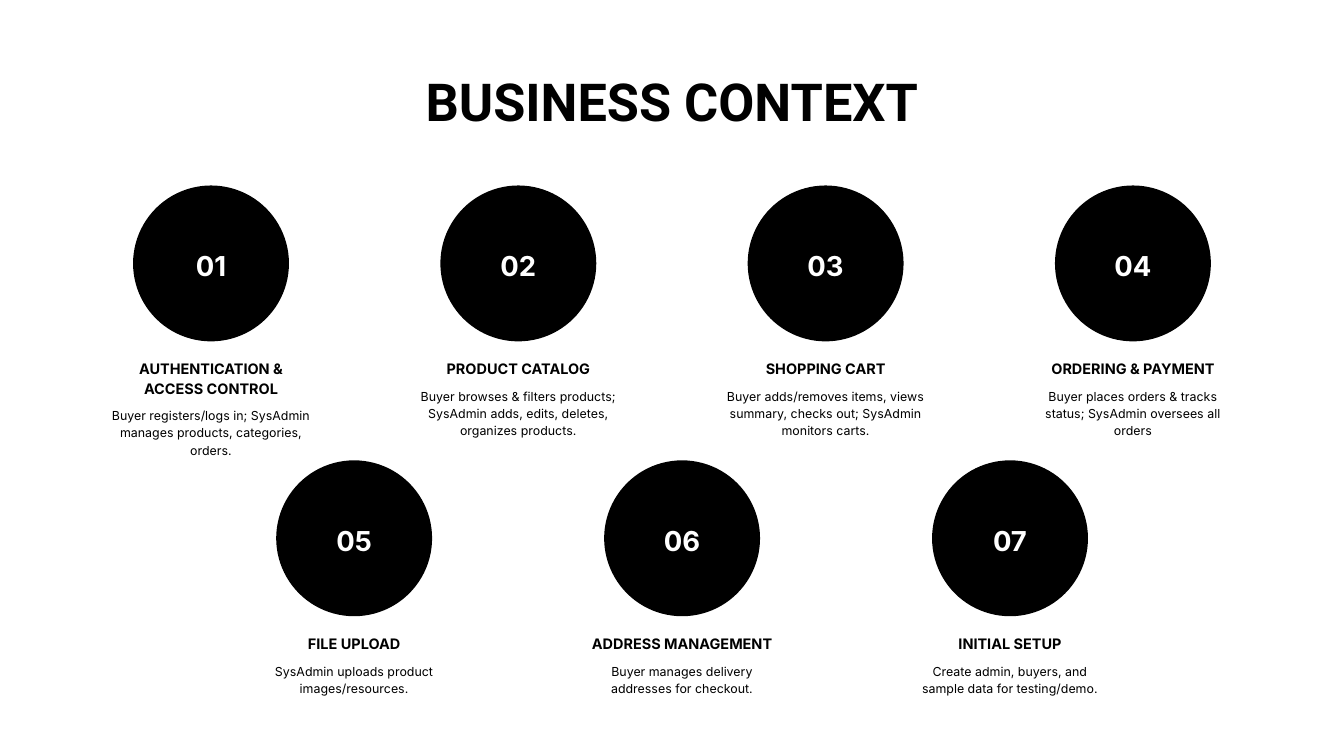
from pptx import Presentation
from pptx.dml.color import RGBColor
from pptx.enum import shapes, text
from pptx.util import Inches, Pt

BLACK, WHITE = "000000", "FFFFFF"
CIRCLE = 2.32
TEXT_WIDTH = 2.97

# Per row: top, first centre, step between centres, lines of body text, items
# Per item: heading, lines of heading, body
ROWS = [
    (2.76, 3.14, 4.573, 3, [
        ("AUTHENTICATION & ACCESS CONTROL", 2,
         "Buyer registers/logs in; SysAdmin manages products, categories, orders."),
        ("PRODUCT CATALOG", 1,
         "Buyer browses & filters products; SysAdmin adds, edits, deletes, organizes products."),
        ("SHOPPING CART", 1,
         "Buyer adds/removes items, views summary, checks out; SysAdmin monitors carts."),
        ("ORDERING & PAYMENT", 1,
         "Buyer places orders & tracks status; SysAdmin oversees all orders"),
    ]),
    (6.85, 5.27, 4.88, 2, [
        ("FILE UPLOAD", 1, "SysAdmin uploads product images/resources."),
        ("ADDRESS MANAGEMENT", 1, "Buyer manages delivery addresses for checkout."),
        ("INITIAL SETUP", 1, "Create admin, buyers, and sample data for testing/demo."),
    ]),
]


def rgb(value):
    return RGBColor.from_string(value)


def write(sp, words, *, size, leading, font="Inter", color=BLACK, bold=False):
    tf = sp.text_frame
    tf.word_wrap = True
    tf.auto_size = text.MSO_AUTO_SIZE.NONE
    tf.vertical_anchor = text.MSO_ANCHOR.TOP
    tf.margin_left = tf.margin_right = tf.margin_top = tf.margin_bottom = 0
    p = tf.paragraphs[0]
    p.alignment = text.PP_ALIGN.CENTER
    p.line_spacing = Pt(leading)
    p.space_before = Pt(0)
    r = p.add_run()
    r.text = words
    r.font.name = font
    r.font.size = Pt(size)
    r.font.bold = bold
    r.font.color.rgb = rgb(color)


def add_title(s, words):
    sp = s.shapes.title
    sp.left, sp.top = Inches(4.29), Inches(0.87)
    sp.width, sp.height = Inches(11.42), Inches(1.03)
    write(sp, words, size=56, leading=78.4, font="Roboto", bold=True)


def add_circle(group, center, top):
    sp = group.shapes.add_shape(
        shapes.MSO_SHAPE.OVAL, Inches(center - CIRCLE / 2), Inches(top),
        Inches(CIRCLE), Inches(CIRCLE))
    sp.shadow.inherit = False
    sp.fill.solid()
    sp.fill.fore_color.rgb = rgb(BLACK)
    sp.line.fill.background()


def add_text(group, words, center, top, width, height, **style):
    sp = group.shapes.add_textbox(
        Inches(center - width / 2), Inches(top), Inches(width), Inches(height))
    write(sp, words, **style)


def add_item(s, number, center, top, heading, heading_lines, body, body_lines):
    """Numbered circle with a heading and a body, stacked on one centre line."""
    group = s.shapes.add_group_shape()
    heading_top = top + 2.55
    heading_height = 0.285 * heading_lines
    body_top = heading_top + heading_height + 0.155
    add_circle(group, center, top)
    add_text(group, f"{number:02d}", center, top + 0.87, CIRCLE / 2, 0.53,
             size=29.4, leading=41.2, color=WHITE, bold=True)
    add_text(group, body, center, body_top, TEXT_WIDTH, 0.25 * body_lines,
             size=13.3, leading=18.6)
    add_text(group, heading, center, heading_top, TEXT_WIDTH, heading_height,
             size=15.5, leading=21.7, bold=True)


def main():
    prs = Presentation()
    prs.slide_width, prs.slide_height = Inches(20), Inches(11.25)
    s = prs.slides.add_slide(prs.slide_layouts[5])
    add_title(s, "BUSINESS CONTEXT")
    number = 1
    for top, first, step, body_lines, items in ROWS:
        for i, (heading, heading_lines, body) in enumerate(items):
            add_item(s, number, first + i * step, top,
                     heading, heading_lines, body, body_lines)
            number += 1
    prs.save("out.pptx")


if __name__ == "__main__":
    main()
